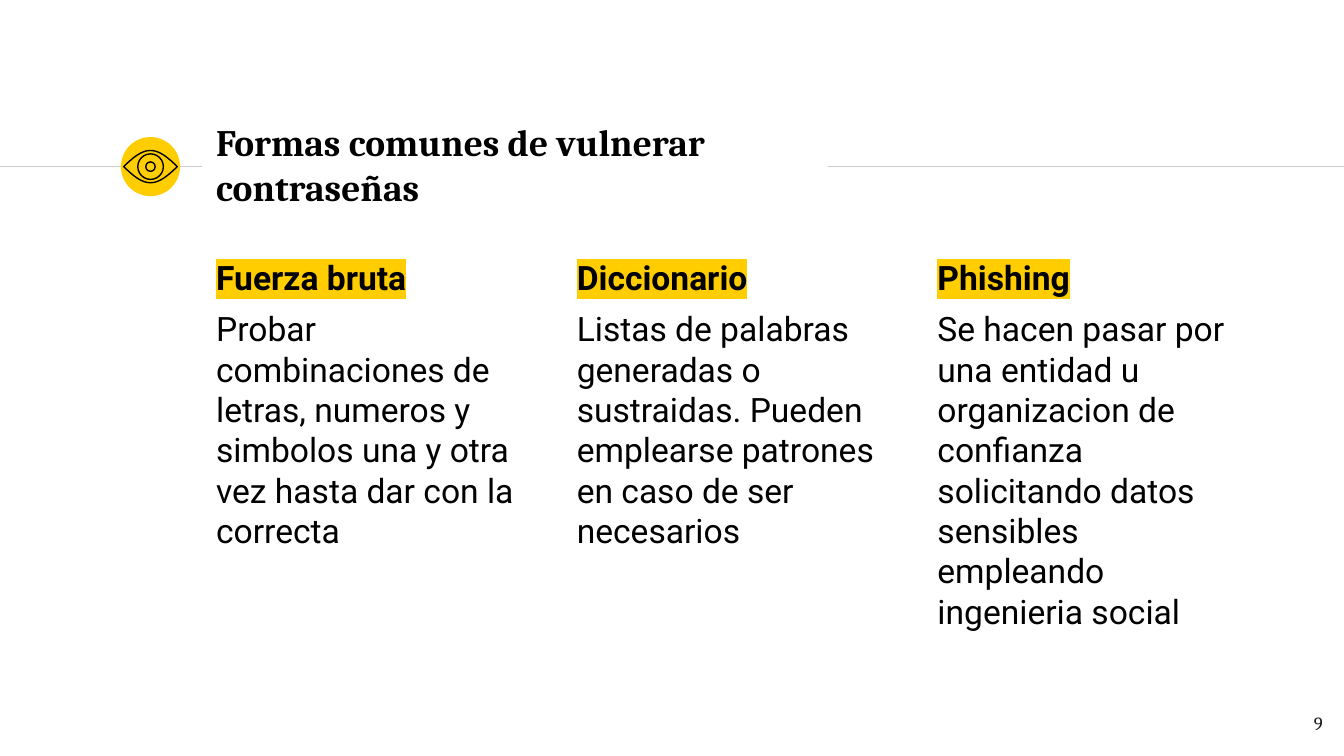
import math

from lxml import etree
from pptx import Presentation
from pptx.dml.color import RGBColor
from pptx.enum import shapes, text
from pptx.oxml import ns
from pptx.util import Inches, Pt

YELLOW, BLACK, WHITE, GREY, INK = "FFCD00", "000000", "FFFFFF", "CCCCCC", "1D1D1B"
COLUMNS = [
    ("Fuerza bruta", "Probar combinaciones de letras, numeros y simbolos una y otra "
                     "vez hasta dar con la correcta"),
    ("Diccionario", "Listas de palabras generadas o sustraidas. Pueden emplearse "
                    "patrones en caso de ser necesarios"),
    ("Phishing", "Se hacen pasar por una entidad u organizacion de confianza "
                 "solicitando datos sensibles empleando ingenieria social"),
]


def color(value):
    return RGBColor.from_string(value)


def style_shape(shape, fill=None, line=None):
    shape.shadow.inherit = False
    if fill:
        shape.fill.solid()
        shape.fill.fore_color.rgb = color(fill)
    else:
        shape.fill.background()
    if line:
        shape.line.color.rgb = color(line)
        shape.line.width = Pt(0.75)
    else:
        shape.line.fill.background()


def add_preset(slide, kind, box, fill=None, line=None):
    shape = slide.shapes.add_shape(kind, *map(Inches, box))
    style_shape(shape, fill, line)


def add_rule(slide, start, end, top):
    rule = slide.shapes.add_connector(
        shapes.MSO_CONNECTOR.STRAIGHT, *map(Inches, (start, top, end, top)))
    rule.line.color.rgb = color(GREY)
    rule.line.width = Pt(0.75)
    etree.SubElement(rule._element.spPr, ns.qn("a:effectLst"))


def add_text(slide, box, paragraphs, anchor=text.MSO_ANCHOR.TOP, **para_format):
    """Each paragraph is (words, font format, highlight or None)."""
    frame = slide.shapes.add_textbox(*map(Inches, box)).text_frame
    frame.word_wrap = True
    frame.vertical_anchor = anchor
    for side in ("left", "top", "right", "bottom"):
        setattr(frame, f"margin_{side}", Inches(0.1))
    for index, (words, font_format, highlight) in enumerate(paragraphs):
        para = frame.add_paragraph() if index else frame.paragraphs[0]
        for name, value in para_format.items():
            setattr(para, name, value)
        span = para.add_run()
        span.text = words
        span.font.color.rgb = color(font_format.get("color", BLACK))
        for name in ("name", "size", "bold"):
            setattr(span.font, name, font_format.get(name))
        if highlight:
            mark = etree.Element(ns.qn("a:highlight"))
            etree.SubElement(mark, ns.qn("a:srgbClr"), val=highlight)
            span.font._element.find(ns.qn("a:solidFill")).addnext(mark)


def add_eye(slide, box):
    """Yellow disc with a cosine-shaped eye outline and two rings."""
    left, top, width, height = box
    center_x, center_y = left + width / 2, top + height / 2
    add_preset(slide, shapes.MSO_SHAPE.OVAL, box, YELLOW)

    # Eyelids: upper edge left to right, lower edge back
    half_width, half_height, steps = 0.2, 0.12, 16
    offsets = [2 * i / steps - 1 for i in range(steps + 1)]
    upper = [(x, -math.cos(math.pi / 2 * x)) for x in offsets]
    lower = [(-x, -y) for x, y in upper]
    points = [(Inches(center_x + x * half_width), Inches(center_y + y * half_height))
              for x, y in upper + lower[1:-1]]
    builder = slide.shapes.build_freeform(*points[0])
    builder.add_line_segments(points[1:], close=True)
    style_shape(builder.convert_to_shape(), line=BLACK)

    # Pupil and iris
    for size in (0.07, 0.19):
        ring = (center_x - size / 2, center_y - size / 2, size, size)
        add_preset(slide, shapes.MSO_SHAPE.OVAL, ring, line=BLACK)


def add_header(slide, box):
    left, top, width, height = box
    middle = top + height / 2 + 0.02
    add_rule(slide, 0, left - 0.01, middle)
    add_rule(slide, 5.76, 10, middle)
    # White patch that ends the right rule after the title
    add_preset(slide, shapes.MSO_SHAPE.RECTANGLE, (4.73, 0.47, 1.43, 1.5), WHITE)
    add_eye(slide, (left - 0.61, middle - 0.22, 0.44, 0.44))
    title = {"name": "Cambria", "size": Pt(20), "bold": True}
    add_text(slide, box, [("Formas comunes de vulnerar contraseñas", title, None)],
             text.MSO_ANCHOR.MIDDLE)


def add_columns(slide, box, gap):
    left, top, width, height = box
    column_width = (width - gap * (len(COLUMNS) - 1)) / len(COLUMNS)
    body = {"name": "Roboto", "size": Pt(18), "bold": False}
    for index, (heading, words) in enumerate(COLUMNS):
        column = (left + index * (column_width + gap), top, column_width, height)
        add_text(slide, column,
                 [(heading, {**body, "bold": True}, YELLOW), (words, body, None)],
                 space_before=Pt(6))


def add_page_number(slide, box):
    number = {"name": "Cambria", "size": Pt(10), "color": INK}
    add_text(slide, box, [("9", number, None)], alignment=text.PP_ALIGN.RIGHT)


def main():
    deck = Presentation()
    # Widescreen, 16 to 9
    deck.slide_width, deck.slide_height = Inches(10), Inches(10 * 9 / 16)
    slide = deck.slides.add_slide(deck.slide_layouts[6])
    add_header(slide, (1.51, 0.98, 4.65, 0.48))
    add_columns(slide, (1.51, 1.81, 7.92, 3.41), 0.13)
    add_page_number(slide, (9.34, 5.21, 0.6, 0.41))
    deck.save("out.pptx")


if __name__ == "__main__":
    main()
